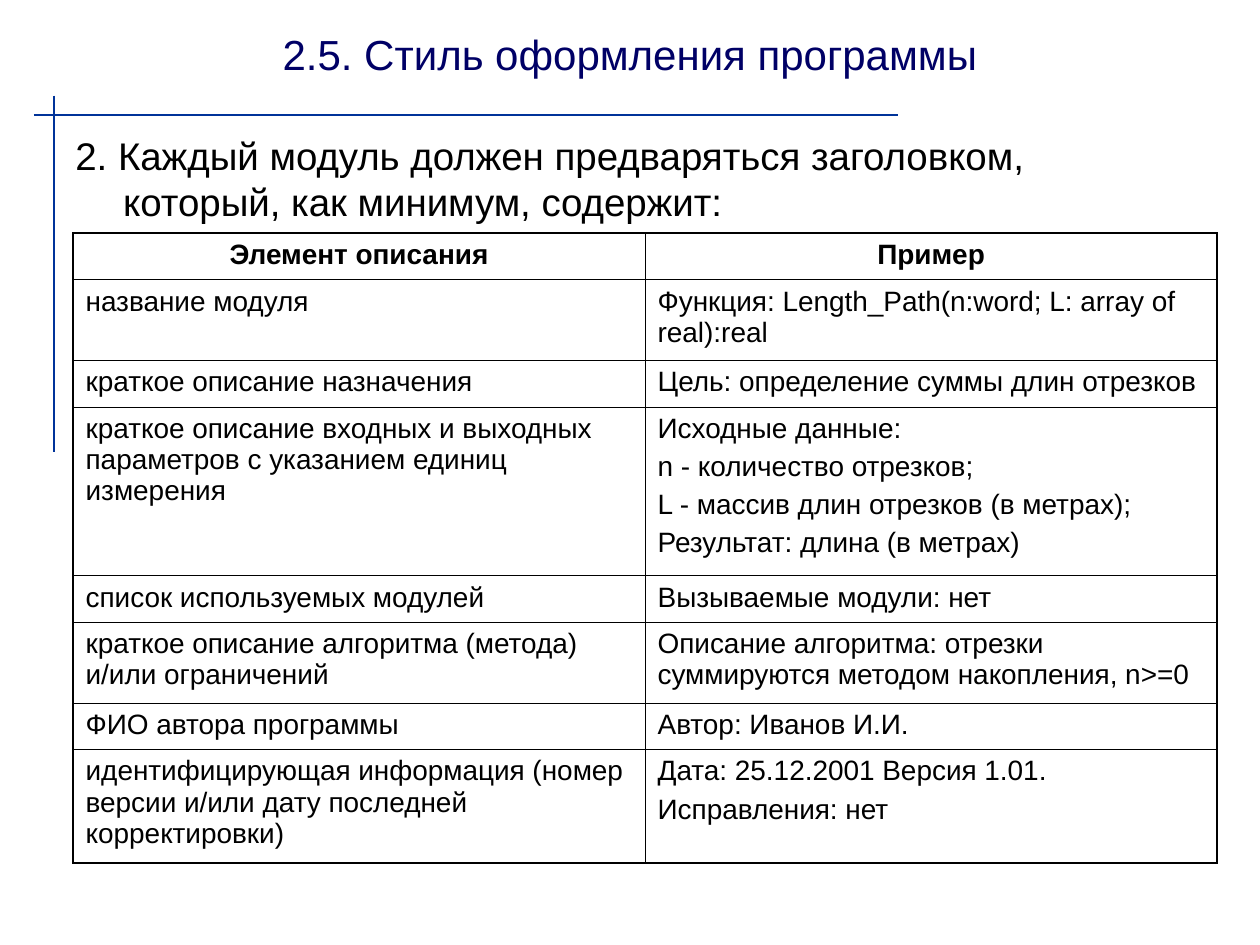
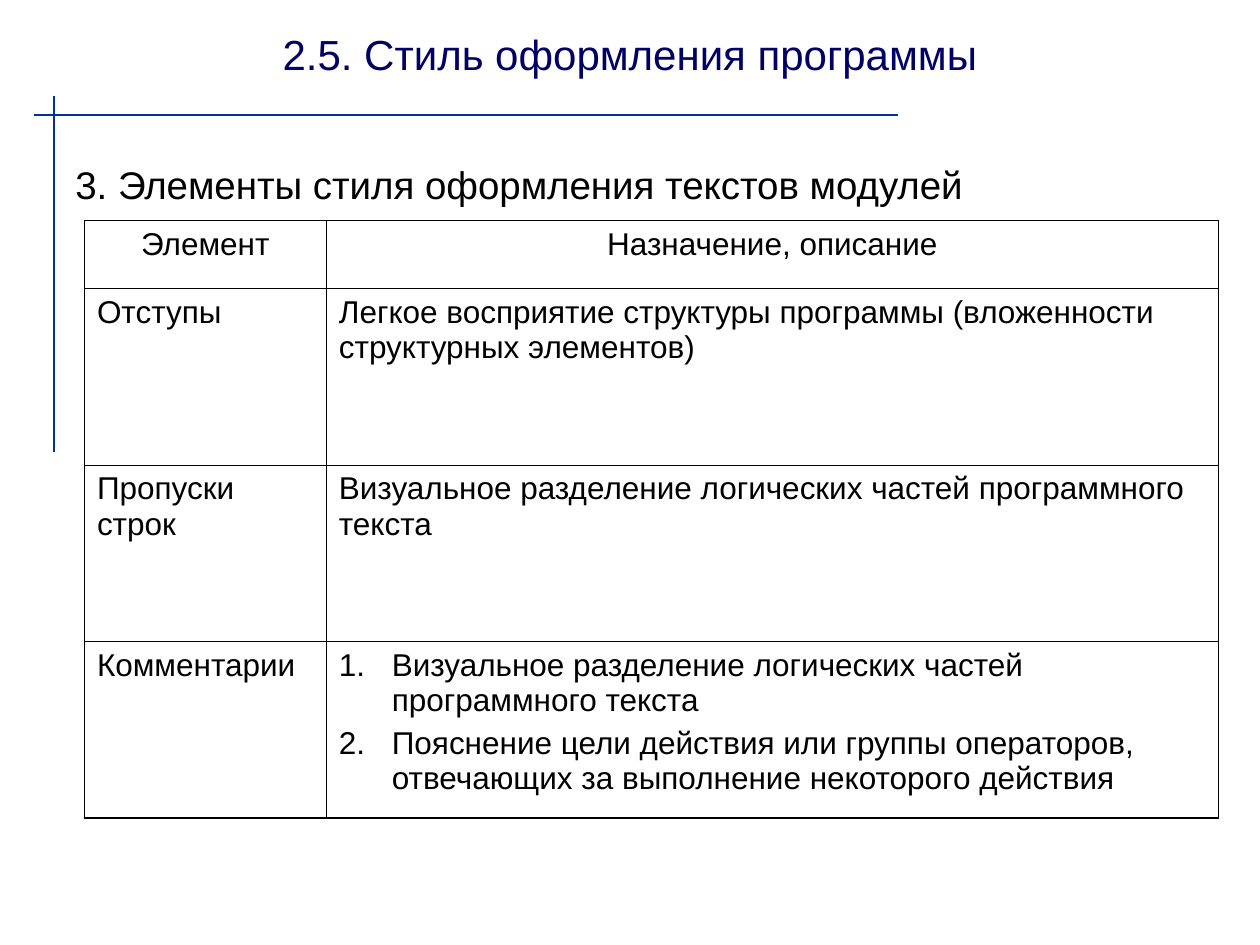
from dataclasses import dataclass

from lxml import etree
from pptx import Presentation
from pptx.dml.color import RGBColor
from pptx.enum.shapes import MSO_CONNECTOR
from pptx.enum.text import MSO_ANCHOR, PP_ALIGN
from pptx.oxml.ns import qn
from pptx.util import Inches, Pt

NAVY = RGBColor(0x00, 0x00, 0x66)
BLUE = RGBColor(0x00, 0x33, 0x99)
BLACK = RGBColor(0x00, 0x00, 0x00)
FONT = "Arial"
STRAIGHT = MSO_CONNECTOR.STRAIGHT
LEFT, CENTER = PP_ALIGN.LEFT, PP_ALIGN.CENTER
TOP, MIDDLE = MSO_ANCHOR.TOP, MSO_ANCHOR.MIDDLE
OUTER_PT, INNER_PT = 1.08, 0.45
HANGING = 0.38
TITLE = "2.5. Стиль оформления программы"
RULES = [(0.27, 0.91, 7.13, 0.91), (0.43, 0.76, 0.43, 3.59)]


@dataclass
class Numbered:
    text: str
    indent: float = 0.42


@dataclass
class StyleTable:
    left: float
    top: float
    cols: list[float]
    heights: list[float]
    rows: list[tuple]
    size: float
    space_before: float
    bold_header: bool = False


@dataclass
class StyleSlide:
    point: str
    point_top: float
    point_height: float
    table: StyleTable


MODULE_HEADER = StyleSlide(
    "2. Каждый модуль должен предваряться заголовком, который, как минимум, содержит:",
    1, 5.47,
    StyleTable(
        0.58, 1.85, [4.54, 4.54],
        [0.37, 0.64, 0.37, 1.34, 0.37, 0.64, 0.37, 0.9],
        [
            ("Элемент описания", "Пример"),
            ("название модуля", "Функция: Length_Path(n:word; L: array of real):real"),
            ("краткое описание назначения", "Цель: определение суммы длин отрезков"),
            ("краткое описание входных и выходных параметров с указанием единиц измерения",
             "Исходные данные:\nn - количество отрезков;\n"
             "L - массив длин отрезков (в метрах);\nРезультат: длина (в метрах)"),
            ("список используемых модулей", "Вызываемые модули: нет"),
            ("краткое описание алгоритма (метода) и/или ограничений",
             "Описание алгоритма: отрезки суммируются методом накопления, n>=0"),
            ("ФИО автора программы", "Автор: Иванов И.И."),
            ("идентифицирующая информация (номер версии и/или дату последней корректировки)",
             "Дата: 25.12.2001 Версия 1.01.\nИсправления: нет"),
        ],
        size=16, space_before=4, bold_header=True))

STYLE_ELEMENTS = StyleSlide(
    "3. Элементы стиля оформления текстов модулей",
    1.23, 0.52,
    StyleTable(
        0.67, 1.75, [1.92, 7.08], [0.54, 1.4, 1.4, 1.4],
        [
            ("Элемент", "Назначение, описание"),
            ("Отступы",
             "Легкое восприятие структуры программы (вложенности структурных элементов)"),
            ("Пропуски строк", "Визуальное разделение логических частей программного текста"),
            ("Комментарии", Numbered(
                "Визуальное разделение логических частей программного текста\n"
                "Пояснение цели действия или группы операторов, "
                "отвечающих за выполнение некоторого действия")),
        ],
        size=18, space_before=4.5))


def write_text(tf, text: str, *, size: float, color: RGBColor = BLACK, bold: bool = False,
               align=LEFT, space_before: float = 0, indent: float = 0,
               numbered: bool = False) -> None:
    tf.word_wrap = True
    for i, line in enumerate(text.split("\n")):
        p = tf.add_paragraph() if i else tf.paragraphs[0]
        p.alignment = align
        p.space_before = Pt(space_before)
        pPr = p._p.get_or_add_pPr()
        pPr.set("marL", str(Inches(indent)))
        pPr.set("indent", str(-Inches(indent)))
        if numbered:
            etree.SubElement(pPr, qn("a:buFont"), typeface=FONT)
            etree.SubElement(pPr, qn("a:buAutoNum"), type="arabicPeriod")
        r = p.add_run()
        r.text = line
        r.font.name = FONT
        r.font.size = Pt(size)
        r.font.bold = bold
        r.font.color.rgb = color


def add_text(slide, top: float, height: float, text: str, anchor=TOP, **fmt) -> None:
    sp = slide.shapes.add_textbox(Inches(0.5), Inches(top), Inches(9), Inches(height))
    sp.text_frame.vertical_anchor = anchor
    write_text(sp.text_frame, text, **fmt)


def add_rule(slide, x1: float, y1: float, x2: float, y2: float) -> None:
    line = slide.shapes.add_connector(STRAIGHT, Inches(x1), Inches(y1), Inches(x2), Inches(y2))
    line.line.color.rgb = BLUE
    line.line.width = Pt(1)
    etree.SubElement(line._element.spPr, qn("a:effectLst"))


def set_borders(cell, outer: dict[str, bool]) -> None:
    tcPr = cell._tc.get_or_add_tcPr()
    for i, (side, is_outer) in enumerate(outer.items()):
        ln = etree.Element(qn(f"a:ln{side}"), w=str(Pt(OUTER_PT if is_outer else INNER_PT)))
        fill = etree.SubElement(ln, qn("a:solidFill"))
        etree.SubElement(fill, qn("a:srgbClr"), val=str(BLACK))
        tcPr.insert(i, ln)


def add_style_table(slide, spec: StyleTable) -> None:
    n_rows, n_cols = len(spec.rows), len(spec.cols)
    table = slide.shapes.add_table(
        n_rows, n_cols, Inches(spec.left), Inches(spec.top),
        Inches(sum(spec.cols)), Inches(sum(spec.heights))).table
    table.first_row = table.horz_banding = False
    for col, width in zip(table.columns, spec.cols):
        col.width = Inches(width)
    for i, (row, height, contents) in enumerate(zip(table.rows, spec.heights, spec.rows)):
        row.height = Inches(height)
        for j, (cell, content) in enumerate(zip(row.cells, contents)):
            numbered = isinstance(content, Numbered)
            write_text(cell.text_frame, content.text if numbered else content,
                       size=spec.size, space_before=spec.space_before,
                       bold=spec.bold_header and i == 0,
                       align=LEFT if i else CENTER,
                       indent=content.indent if numbered else 0, numbered=numbered)
            cell.fill.background()
            set_borders(cell, {"L": j == 0, "R": j == n_cols - 1,
                               "T": i == 0, "B": i == n_rows - 1})


def add_style_slide(prs, content: StyleSlide) -> None:
    slide = prs.slides.add_slide(prs.slide_layouts[6])
    for rule in RULES:
        add_rule(slide, *rule)
    add_text(slide, 0.08, 0.69, TITLE, MIDDLE, size=24, color=NAVY, align=CENTER)
    add_text(slide, content.point_top, content.point_height, content.point,
             size=22, space_before=5.5, indent=HANGING)
    add_style_table(slide, content.table)


def main() -> None:
    prs = Presentation()
    prs.slide_width, prs.slide_height = Inches(10), Inches(7.5)
    for content in (MODULE_HEADER, STYLE_ELEMENTS):
        add_style_slide(prs, content)
    prs.save("out.pptx")


if __name__ == "__main__":
    main()
